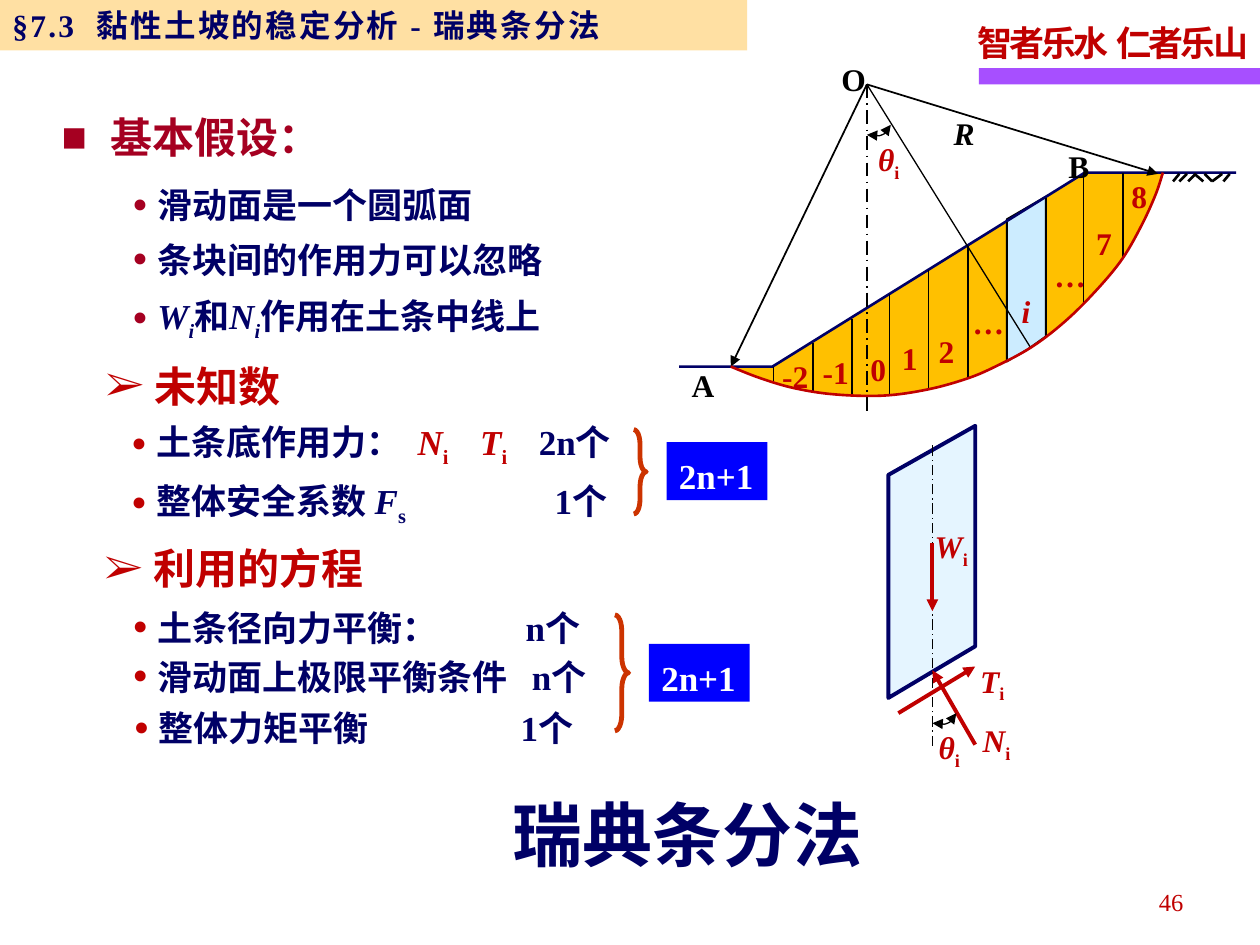
import pptx
import pptx.dml.color
import pptx.enum.dml
import pptx.enum.shapes
import pptx.enum.text
import pptx.oxml
import pptx.oxml.ns
import pptx.util
import lxml.etree

RGB = pptx.dml.color.RGBColor
SHAPE = pptx.enum.shapes.MSO_SHAPE
ALIGN = pptx.enum.text.PP_ALIGN
PX = 9144
NAVY = RGB(0, 0, 0x66)
RED = RGB(0xC0, 0, 0)
WINE = RGB(0xA5, 0, 0x21)
BLACK = RGB(0, 0, 0)
WHITE = RGB(255, 255, 255)
GOLD = RGB(0xFF, 0xC0, 0)
SAND = RGB(0xFF, 0xCC, 0x66)
SKY = RGB(0xCC, 0xEC, 0xFF)
PLUM = RGB(0xA7, 0x4F, 0xFF)
RUST = RGB(0xCC, 0x33, 0)
BLUE = RGB(0, 0, 255)
ROMAN = "Times New Roman"
HAN = "Noto Sans CJK SC"


def add(node, tag, **attrs):
    kid = lxml.etree.SubElement(node, pptx.oxml.ns.qn("a:" + tag))
    for key, val in attrs.items():
        kid.set(key, str(val))
    return kid


def run(par, text, color=NAVY, size=20, font=ROMAN, bold=True, ital=False, sub=False, gap=0):
    piece = par.add_run()
    piece.text = text
    face = piece.font
    face.name, face.size = font, pptx.util.Pt(size)
    face.bold, face.italic = bold, ital
    face.color.rgb = color
    props = piece._r.get_or_add_rPr()
    props.find(pptx.oxml.ns.qn("a:latin")).addnext(add(props, "ea", typeface=HAN))
    if sub:
        props.set("baseline", "-25000")
    if gap:
        props.set("spc", str(round(gap * 100)))


def fill(par, runs):
    for text, style in runs:
        run(par, text, **style)


def bullet(par, mark, left, hang, color=None, size=None):
    props = par._p.get_or_add_pPr()
    props.set("marL", str(left * PX))
    props.set("indent", str(-hang * PX))
    if color is not None:
        add(add(props, "buClr"), "srgbClr", val=color)
    if size:
        add(props, "buSzPct", val=size * 1000)
    add(props, "buFont", typeface=ROMAN)
    add(props, "buChar", char=mark)


def frame(shape, wrap=True, bare=False):
    body = shape.text_frame
    body.word_wrap = wrap
    if not wrap:
        body.auto_size = pptx.enum.text.MSO_AUTO_SIZE.SHAPE_TO_FIT_TEXT
    body.vertical_anchor = pptx.enum.text.MSO_ANCHOR.TOP
    if bare:
        body.margin_left = body.margin_right = body.margin_top = body.margin_bottom = 0
    return body


def box(slide, place, runs, space=1.15, wrap=True, bare=False, mark=None, align=None):
    shape = slide.shapes.add_textbox(*[v * PX for v in place])
    par = frame(shape, wrap, bare).paragraphs[0]
    if mark:
        bullet(par, *mark)
    par.line_spacing = space
    par.alignment = align
    fill(par, runs)


def paint(shape, color, alpha=None):
    shape.shadow.inherit = False
    if color is None:
        shape.fill.background()
        return
    shape.fill.solid()
    shape.fill.fore_color.rgb = color
    if alpha:
        tone = shape.fill._xPr.find(".//" + pptx.oxml.ns.qn("a:srgbClr"))
        add(tone, "alpha", val=alpha * 1000)


def stroke(shape, color, width, heads=(), dash=False):
    if color is None:
        shape.line.fill.background()
        return
    shape.line.color.rgb = color
    shape.line.width = pptx.util.Pt(width)
    if dash:
        shape.line.dash_style = pptx.enum.dml.MSO_LINE.LONG_DASH_DOT
    for end in heads:
        add(shape.line._get_or_add_ln(), end, type="triangle")


def block(slide, kind, place, color=None, alpha=None, edge=None, width=1):
    shape = slide.shapes.add_shape(kind, *[v * PX for v in place])
    paint(shape, color, alpha)
    stroke(shape, edge, width)
    return shape


def line(slide, start, end, color=BLACK, width=1, heads=(), dash=False):
    ends = [v * PX for v in (*start, *end)]
    link = slide.shapes.add_connector(pptx.enum.shapes.MSO_CONNECTOR.STRAIGHT, *ends)
    stroke(link, color, width, heads, dash)
    add(link._element.spPr, "effectLst")


def outline(slide, points, color=None, alpha=None, edge=None, width=1, heads=(), close=True):
    dots = [(x * PX, y * PX) for x, y in points]
    pen = slide.shapes.build_freeform(*dots[0], scale=1.0)
    pen.add_line_segments(dots[1:], close=close)
    shape = pen.convert_to_shape()
    paint(shape, color, alpha)
    stroke(shape, edge, width, heads)
    return shape


def bend(shape):
    tag = pptx.oxml.ns.qn
    knots = [(int(p.get("x")), int(p.get("y"))) for p in shape._element.iter(tag("a:pt"))]
    pts = [knots[0], *knots, knots[-1]]
    legs = list(shape._element.iter(tag("a:lnTo")))
    for leg, a, b, c, d in zip(legs, pts, pts[1:], pts[2:], pts[3:]):
        cubic = add(leg.getparent(), "cubicBezTo")
        out = [q + (r - p) / 6 for p, q, r in zip(a, b, c)]
        into = [q - (r - p) / 6 for p, q, r in zip(b, c, d)]
        for x, y in (out, into, c):
            add(cubic, "pt", x=round(x), y=round(y))
        leg.getparent().replace(leg, cubic)


def angle(slide, x, y):
    arc = [(x + 19, y), (x + 12, y + 8), (x, y + 8)]
    bend(outline(slide, arc, edge=BLACK, width=0.75, heads=("headEnd", "tailEnd"), close=False))


def symbol(name, foot, **style):
    return [(name, dict(style, ital=True)), (foot, dict(style, sub=True))]


def header(slide):
    block(slide, SHAPE.RECTANGLE, (777, 54, 223, 13), PLUM)
    motto = dict(color=RED, gap=-1.7)
    box(slide, (766, 7, 236, 49), [("智者乐水", motto), (" ", {}), ("仁者乐山", motto)], wrap=False)
    bar = block(slide, SHAPE.RECTANGLE, (0, 0, 593, 40), SAND, 60)
    body = frame(bar)
    body.vertical_anchor = pptx.enum.text.MSO_ANCHOR.MIDDLE
    par = body.paragraphs[0]
    par.alignment = ALIGN.LEFT
    look = dict(size=18, gap=1.3)
    fill(par, [("§7.3", look), (" ", dict(size=18, gap=7.1)), ("黏性土坡的稳定分析 - 瑞典条分法", look)])
    box(slide, (228, 623, 635, 77), [("瑞典条分法", dict(size=40, font=HAN))], 1.0, align=ALIGN.CENTER)
    box(slide, (716, 696, 233, 40), [("46", dict(size=14, color=RED, bold=False))], align=ALIGN.RIGHT)


def points(slide):
    box(slide, (39, 76, 249, 54), [("基本假设：", dict(size=24, font=HAN, color=WINE))], 1.2,
        mark=("■", 39, 39, WINE))
    for x, y, w, text in ((65, 271, 199, "未知数"), (64, 416, 299, "利用的方程")):
        box(slide, (x, y, w, 55), [(text, dict(size=24, font=HAN, color=RED))], 1.25, mark=("➢", 48, 39))
    body = frame(slide.shapes.add_textbox(95 * PX, 131 * PX, 381 * PX, 141 * PX))
    last = []
    for name, text in (("W", "和"), ("N", "作用在土条中线上")):
        last += [(name, dict(ital=True)), ("i", dict(ital=True, sub=True)), (text, {})]
    for n, runs in enumerate(([("滑动面是一个圆弧面", {})], [("条块间的作用力可以忽略", {})], last)):
        par = body.add_paragraph() if n else body.paragraphs[0]
        bullet(par, "•", 20, 20, WINE, 130)
        par.line_spacing = 1.3
        fill(par, runs)
    forces = ([("土条底作用力：", {}), (" ", dict(gap=4.5))] + symbol("N", "i", color=RED)
              + [(" ", dict(gap=13))] + symbol("T", "i", color=RED) + [(" ", dict(gap=13)), ("2n个", {})])
    factor = [("整体安全系数 ", {})] + symbol("F", "s") + [(" ", dict(gap=80)), ("1个", {})]
    rows = [(104, 328, forces), (104, 375, factor)]
    for x, y, text, gap, count in ((105, 476, "土条径向力平衡：", 45.5, "n个"),
                                   (105, 515, "滑动面上极限平衡条件", 9, "n个"),
                                   (106, 556, "整体力矩平衡", 82, "1个")):
        rows.append((x, y, [(text, {}), (" ", dict(gap=gap)), (count, {})]))
    for x, y, runs in rows:
        box(slide, (x, y, 412, 39), runs, bare=True, mark=("•", 20, 20, RED, 130))
    for brace, x, y in (((503, 341, 10, 67), 529, 351), ((488, 488, 11, 92), 515, 511)):
        shape = block(slide, SHAPE.RIGHT_BRACE, brace, edge=RUST, width=2.75)
        shape.adjustments[0] = 1.167
        par = frame(block(slide, SHAPE.RECTANGLE, (x, y, 80, 46), BLUE), False).paragraphs[0]
        par.alignment, par.line_spacing = ALIGN.LEFT, 1.15
        run(par, "2n+1", WHITE)


def slope(slide):
    slip = [(580, 291), (603, 300), (630, 308), (662, 313), (701, 314), (737, 309), (769, 300),
            (792, 290), (818, 276), (842, 258), (865, 236), (889, 208), (905, 181), (917, 155), (923, 137)]
    toe, crest, top = (613, 291), (861, 137), (688, 67)
    outline(slide, slip + [crest, toe], GOLD)
    outline(slide, [(799, 287), (799, 174), (830, 156), (830, 267), (816, 277)], SKY, edge=BLACK)
    outline(slide, [(539, 291), toe, crest, (981, 137)], edge=NAVY, width=1.5, close=False)
    for n, base in enumerate((303, 311, 313, 313, 309, 300, 287, 268, 242, 204)):
        x = round(614 + 30.8 * n)
        line(slide, (x, max(137, round(291 - 19.2 * n))), (x, base))
    line(slide, top, (688, 329), dash=True)
    for foot in ((919, 138), (580, 291)):
        line(slide, top, foot, heads=("tailEnd",))
    line(slide, top, (818, 276), width=0.75)
    for a, b in ((936, 931), (942, 936), (949, 943), (948, 955), (956, 962), (970, 962), (976, 971)):
        line(slide, (a, 138), (b, 144), width=1.5)
    bend(outline(slide, slip, edge=RED, width=1.5, close=False))
    angle(slide, 688, 99)
    for text, x, y, color in (("A", 539, 281, BLACK), ("O", 658, 38, BLACK), ("B", 838, 107, BLACK),
                              ("R", 747, 81, BLACK), ("0", 681, 268, RED), ("1", 706, 260, RED),
                              ("2", 735, 254, RED), ("i", 801, 222, RED), ("-1", 643, 271, RED),
                              ("-2", 611, 274, RED), ("…", 762, 231, RED), ("…", 827, 194, RED),
                              ("7", 860, 168, RED), ("8", 888, 131, RED)):
        box(slide, (x, y, 45, 38), [(text, dict(size=18, color=color, ital=text in "Ri"))])


def slice_view(slide):
    outline(slide, [(705, 377), (705, 554), (774, 513), (774, 338)], SKY, 50, NAVY, 2.25)
    line(slide, (740, 592), (740, 352), width=0.75, dash=True)
    for start, end in (((740, 431), (740, 485)), ((713, 566), (774, 529)), ((774, 591), (740, 532))):
        line(slide, start, end, RED, 2.25, ("tailEnd",))
    angle(slide, 740, 566)
    for name, x, y in (("W", 732, 408), ("N", 770, 562), ("T", 768, 515), ("θ", 735, 568), ("θ", 687, 101)):
        box(slide, (x, y, 52, 42), symbol(name, "i", size=18, color=RED))


def main():
    deck = pptx.Presentation()
    deck.slide_width, deck.slide_height = 1000 * PX, 750 * PX
    slide = deck.slides.add_slide(deck.slide_layouts[6])
    header(slide)
    points(slide)
    slope(slide)
    slice_view(slide)
    deck.save("out.pptx")


if __name__ == "__main__":
    main()
